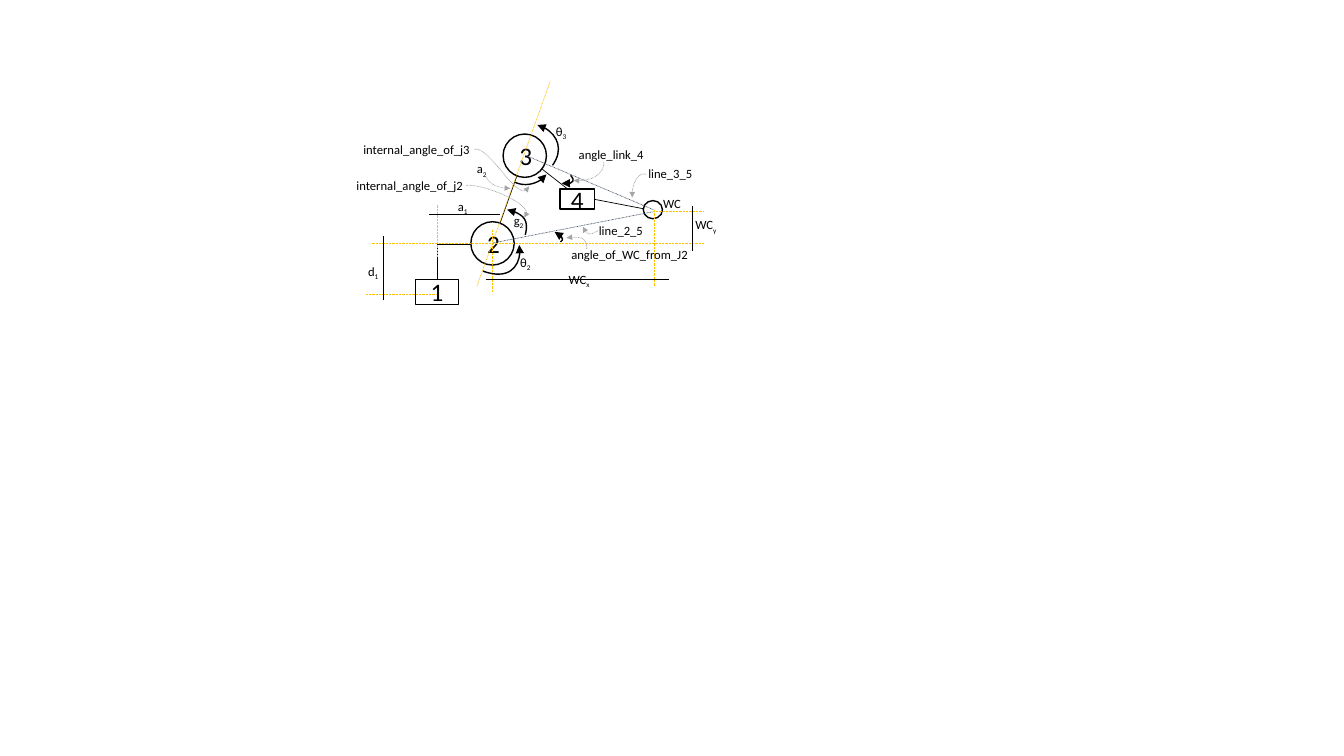
from lxml import etree
from pptx import Presentation
from pptx import util as u
from pptx.dml.color import RGBColor
from pptx.enum import dml, shapes, text
from pptx.oxml import ns

BLACK = RGBColor(0x00, 0x00, 0x00)
WHITE = RGBColor(0xFF, 0xFF, 0xFF)
AMBER = RGBColor(0xFF, 0xC0, 0x00)
SLATE = RGBColor(0x44, 0x54, 0x6A)
GREY = RGBColor(0xA5, 0xA5, 0xA5)
FONT = "Calibri"

prs = Presentation()
prs.slide_width, prs.slide_height = u.Inches(13.33), u.Inches(7.5)
slide = prs.slides.add_slide(prs.slide_layouts[6])

# All places below are columns and rows of a 1333 by 750 grid
COL = prs.slide_width / 1333
ROW = prs.slide_height / 750


def style_line(part, color, width, dotted=False, arrow=None, size="med"):
    part.line.color.rgb = color
    part.line.width = u.Pt(width)
    if dotted:
        part.line.dash_style = dml.MSO_LINE.ROUND_DOT
    if arrow:
        etree.SubElement(part.line._get_or_add_ln(), ns.qn(f"a:{arrow}"),
                         type="triangle", w=size, len=size)


def draw_line(start, end, color=BLACK, dotted=False):
    line = slide.shapes.add_connector(
        shapes.MSO_CONNECTOR.STRAIGHT,
        round(start[0] * COL), round(start[1] * ROW),
        round(end[0] * COL), round(end[1] * ROW))
    style_line(line, color, 0.5, dotted)
    etree.SubElement(line._element.spPr, ns.qn("a:effectLst"))


# Robot links
shoulder, elbow, wrist = (488.6, 242), (520, 154), (648, 209)
base_corner = (433.4, 242)
for start, end in [
    ((570, 194), wrist), (elbow, (570, 193)), (shoulder, elbow),
    (base_corner, shoulder), ((433.4, 290), base_corner),
]:
    draw_line(start, end)

# Joints and wrist centre
BOX, CIRCLE = shapes.MSO_SHAPE.RECTANGLE, shapes.MSO_SHAPE.OVAL
for kind, left, top, width, height, number in [
    (BOX, 412, 277, 43, 25, "1"),
    (CIRCLE, 638, 199, 19, 18, ""),
    (CIRCLE, 499, 133, 43, 43, "3"),
    (CIRCLE, 467, 220, 43, 43, "2"),
    (BOX, 555.6, 187.4, 34, 20, "4"),
]:
    joint = slide.shapes.add_shape(
        kind, round(left * COL), round(top * ROW), round(width * COL), round(height * ROW))
    joint.shadow.inherit = False
    joint.fill.solid()
    joint.fill.fore_color.rgb = WHITE
    style_line(joint, BLACK, 1)
    if number:
        joint.text_frame.text = number
        joint.text_frame.vertical_anchor = text.MSO_ANCHOR.MIDDLE
        digit = joint.text_frame.paragraphs[0]
        digit.alignment = text.PP_ALIGN.CENTER
        digit.runs[0].font.name = FONT
        digit.runs[0].font.size = u.Pt(18)
        digit.runs[0].font.color.rgb = BLACK

# Dotted axes and sight lines
for start, end, color in [
    ((434, 203), (434, 255), AMBER),
    ((368.6, 241.6), (698, 241.6), AMBER),
    ((433, 292), (363, 292), AMBER),
    ((545.6, 81), (473, 284), AMBER),
    ((649, 208), (649, 284), AMBER),
    ((649, 210), (698, 210), AMBER),
    ((488.6, 228), (488.6, 289), AMBER),
    ((489, 241), (648, 210), SLATE),
    ((521, 154), (648, 208), SLATE),
]:
    draw_line(start, end, color, dotted=True)

# Dimension lines for d1, a1, WCx and WCy
for start, end in [
    ((380, 298), (380, 234)), ((425.6, 213), (496, 213)),
    ((482, 277), (664, 277)), ((687, 249), (687, 204)),
]:
    draw_line(start, end)

# Angle arcs (arrow at the start) and dotted pointers (arrow at the end)
angle_arcs = [
    ((550, 230), (557, 231), (559, 238), (556, 240)),
    ((503, 208), (515, 210), (525, 218), (521, 233)),
    ((533, 124), (552, 129), (559, 149), (548, 164)),
    ((542, 173), (537, 182), (520, 185), (511, 181)),
    ((557, 182), (563, 185), (571, 180), (566, 174)),
    ((515, 243), (519, 261), (504, 278), (479, 269)),
]
pointers = [
    ((482, 176), (489, 187), (516, 188), (506, 187)),
    ((641, 173), (634, 170), (626, 183), (627, 196)),
    ((599, 161), (599, 175), (578, 181), (569, 179)),
    ((582, 247), (582, 240), (581, 233), (562, 236)),
    ((462, 184), (478, 182), (535, 205), (520, 216)),
    ((470, 148), (486, 145), (515, 206), (525, 185)),
    ((593, 229), (586, 233), (582, 234), (578, 225)),
]
STEPS = 50
for curves, look in [
    (angle_arcs, (BLACK, 1, False, "headEnd")),
    (pointers, (GREY, 0.5, True, "tailEnd", "sm")),
]:
    for controls in curves:
        points = [(x * COL, y * ROW) for x, y in controls]
        builder = slide.shapes.build_freeform(*points[0])
        builder.add_line_segments(points[1:], close=False)
        curve = builder.convert_to_shape()
        curve.shadow.inherit = False
        curve.fill.background()
        style_line(curve, *look)

        # Bend the three segments into one cubic curve
        outline = curve._element.find(".//" + ns.qn("a:path"))
        bend = etree.SubElement(outline, ns.qn("a:cubicBezTo"))
        for segment in outline.findall(ns.qn("a:lnTo")):
            bend.append(segment[0])
            outline.remove(segment)

        # Fit the frame to the curve itself, not to its control points
        spans = []
        for p0, p1, p2, p3 in zip(*points):
            track = [(1 - t) ** 3 * p0 + 3 * t * (1 - t) ** 2 * p1
                     + 3 * t ** 2 * (1 - t) * p2 + t ** 3 * p3
                     for t in (step / STEPS for step in range(STEPS + 1))]
            spans.append((round(min(track)), round(max(track) - min(track))))
        (left, width), (top, height) = spans
        for point in outline.iter(ns.qn("a:pt")):
            point.set("x", str(int(point.get("x")) + curve.left - left))
            point.set("y", str(int(point.get("y")) + curve.top - top))
        outline.set("w", str(width))
        outline.set("h", str(height))
        curve.left, curve.top, curve.width, curve.height = left, top, width, height

# Labels with their subscripts
for left, top, width, name, subscript in [
    (365, 261.4, 18, "d", "1"),
    (454, 197, 19, "a", "1"),
    (473, 160, 11, "a", "2"),
    (509.6, 211.4, 17, "g", "2"),
    (516, 253, 17, "θ", "2"),
    (551.4, 122.4, 17, "θ", "3"),
    (657.6, 194, 25, "WC", ""),
    (564, 270, 37, "WC", "x"),
    (689.6, 215.6, 37, "WC", "y"),
    (643, 165, 54, "line_3_5", ""),
    (594, 221, 54, "line_2_5", ""),
    (566.6, 245, 123, "angle_of_WC_from_J2", ""),
    (353.6, 176.4, 123, "internal_angle_of_j2", ""),
    (360.4, 140.4, 123, "internal_angle_of_j3", ""),
    (574, 146, 123, "angle_link_4", ""),
]:
    frame = slide.shapes.add_textbox(
        round(left * COL), round(top * ROW), round(width * COL), round(15 * ROW)).text_frame
    frame.margin_left = frame.margin_right = frame.margin_top = frame.margin_bottom = 0
    frame.word_wrap = True
    frame.auto_size = text.MSO_AUTO_SIZE.SHAPE_TO_FIT_TEXT
    frame.text = name
    label = frame.paragraphs[0]
    if subscript:
        index = label.add_run()
        index.text = subscript
        index.font._element.set("baseline", "-25000")
    for run in label.runs:
        run.font.name = FONT
        run.font.size = u.Pt(9)
        run.font.color.rgb = BLACK

prs.save("out.pptx")
